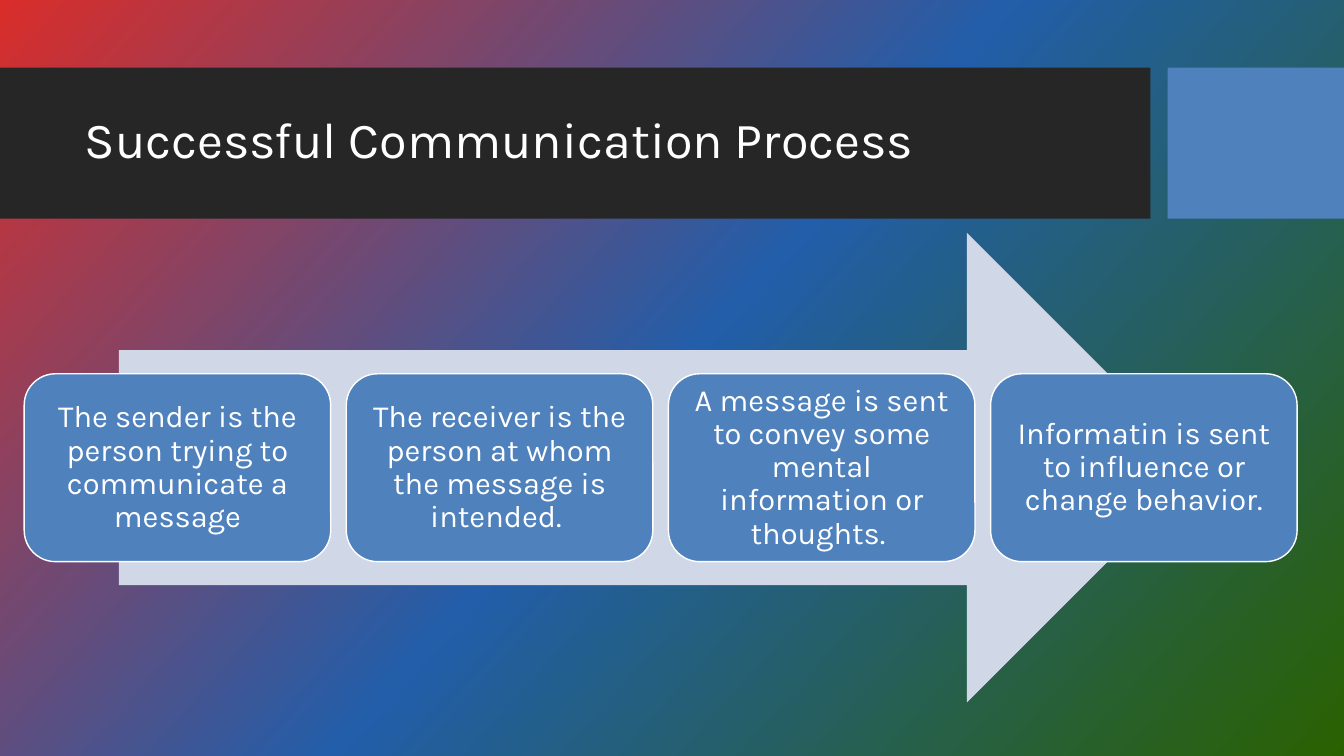
from copy import deepcopy

from pptx import Presentation
from pptx import util as u
from pptx.dml.color import RGBColor
from pptx.enum import shapes, text

HEADING = "Successful Communication Process"
STEPS = [
    "The sender is the person trying to communicate a message",
    "The receiver is the person at whom the message is intended. ",
    "A message is sent to convey some mental information or thoughts. ",
    "Informatin is sent to influence or change behavior.",
]
FONT = "Karla"
WHITE, DARK, BLUE, PALE = "FFFFFF", "262626", "4F81BD", "D0D8E8"
BACKDROP = [(0, "D92D2A"), (0.5, "225EA9"), (1, "2A6100")]
BACKDROP_ANGLE = 360 - 42

WIDTH, HEIGHT = 13.33, 7.5
BAND_TOP, BAND_HEIGHT, BAND_WIDTH, ACCENT_WIDTH = 0.67, 1.5, 11.41, 1.75
ARROW = (1.18, 2.31, 10.74, 4.66)
STEP_LEFT, STEP_WIDTH, STEP_PITCH = 0.24, 3.04, 3.195
STEP_HEIGHT = ARROW[3] * 0.4
STEP_TOP = ARROW[1] + (ARROW[3] - STEP_HEIGHT) / 2


def rgb(code):
    return RGBColor.from_string(code)


def paint_backdrop(slide):
    """Fill the background with a three-stop diagonal gradient."""
    fill = slide.background.fill
    fill.gradient()
    fill.gradient_angle = BACKDROP_ANGLE
    stop_list = fill._fill._gradFill.gsLst
    stop_list.append(deepcopy(stop_list[-1]))
    for stop, (position, color) in zip(fill.gradient_stops, BACKDROP):
        stop.position = position
        stop.color.rgb = rgb(color)


def add_block(slide, kind, box, color, outline=None):
    block = slide.shapes.add_shape(kind, *map(u.Inches, box))
    block.shadow.inherit = False
    block.fill.solid()
    block.fill.fore_color.rgb = rgb(color)
    if outline:
        block.line.color.rgb = rgb(outline)
        block.line.width = u.Pt(1)
    else:
        block.line.fill.background()
    return block


def write(holder, words, size, align, **margins):
    frame = holder.text_frame
    frame_format = {"word_wrap": True,
                    "vertical_anchor": text.MSO_ANCHOR.MIDDLE, **margins}
    for name, value in frame_format.items():
        setattr(frame, name, value)
    paragraph = frame.paragraphs[0]
    paragraph.alignment, paragraph.line_spacing = align, 0.9
    run = paragraph.add_run()
    run.text = words
    run.font.name, run.font.size = FONT, u.Pt(size)
    run.font.color.rgb = rgb(WHITE)


def main():
    deck = Presentation()
    deck.slide_width, deck.slide_height = u.Inches(WIDTH), u.Inches(HEIGHT)
    slide = deck.slides.add_slide(deck.slide_layouts[6])
    paint_backdrop(slide)

    preset = shapes.MSO_SHAPE
    add_block(slide, preset.RECTANGLE,
              (0, BAND_TOP, BAND_WIDTH, BAND_HEIGHT), DARK)
    add_block(slide, preset.RECTANGLE,
              (WIDTH - ACCENT_WIDTH, BAND_TOP, ACCENT_WIDTH, BAND_HEIGHT), BLUE)
    heading = slide.shapes.add_textbox(*map(u.Inches, (0.74, 0.82, 10.51, 1.18)))
    write(heading, HEADING, 36, text.PP_ALIGN.LEFT)

    add_block(slide, preset.RIGHT_ARROW, ARROW, PALE)
    inset = u.Inches(0.09)
    margins = {f"margin_{side}": inset
               for side in ("left", "top", "right", "bottom")}
    for column, words in enumerate(STEPS):
        box = (STEP_LEFT + column * STEP_PITCH, STEP_TOP, STEP_WIDTH, STEP_HEIGHT)
        step = add_block(slide, preset.ROUNDED_RECTANGLE, box, BLUE, WHITE)
        write(step, words, 22, text.PP_ALIGN.CENTER, **margins)

    deck.save("out.pptx")


if __name__ == "__main__":
    main()
